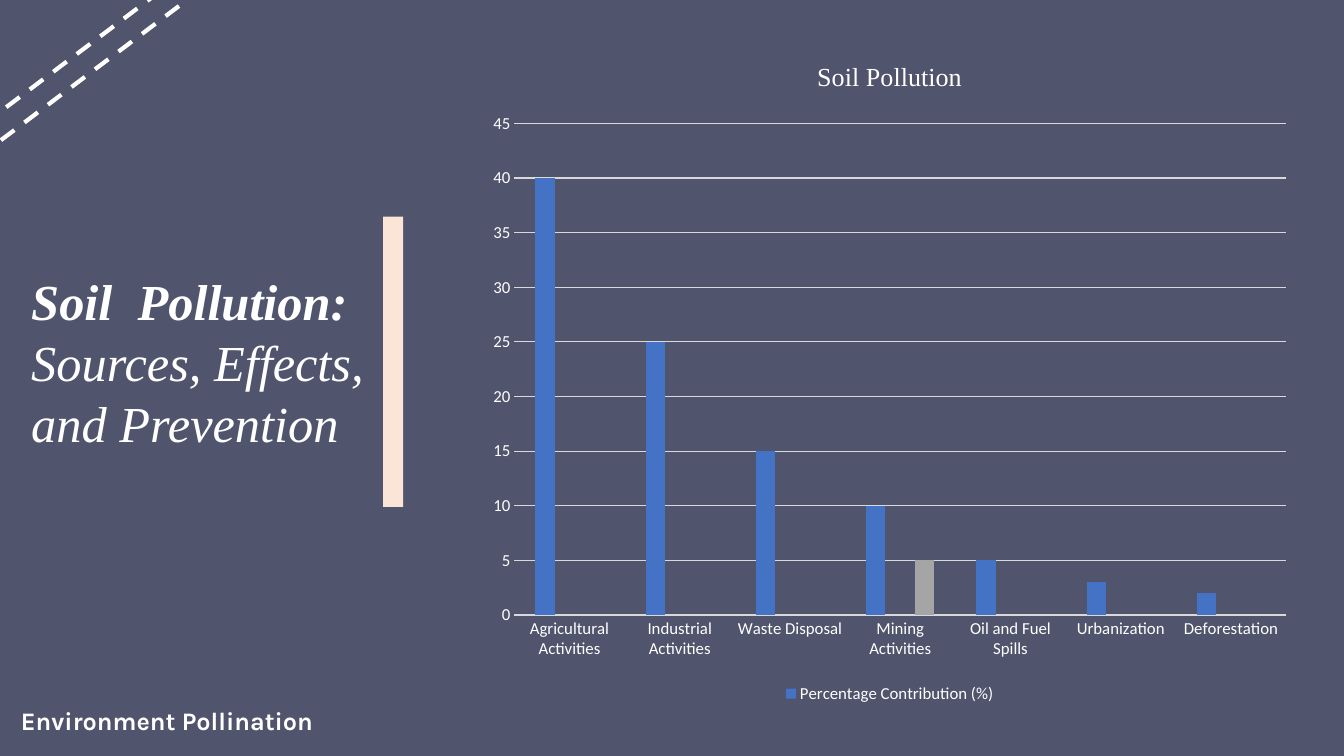
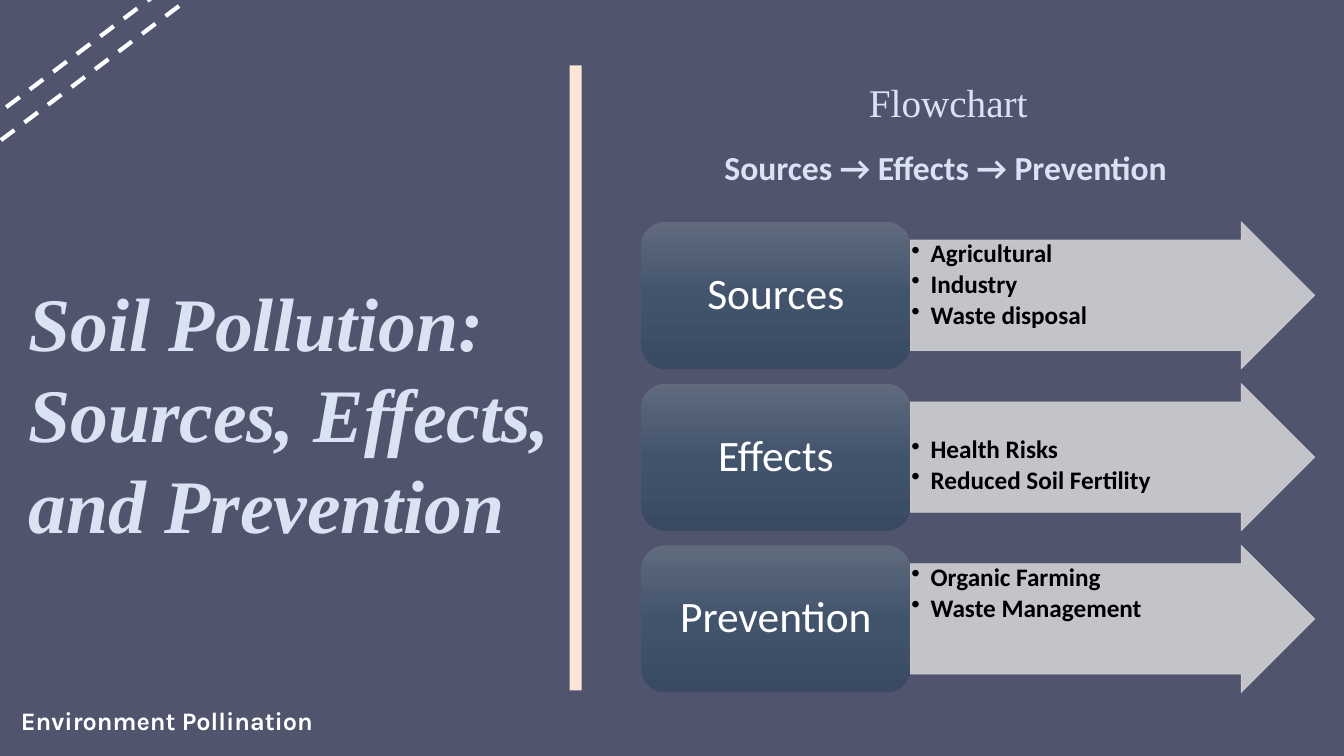
from copy import deepcopy

from lxml.etree import SubElement
from pptx import Presentation
from pptx.chart.data import CategoryChartData
from pptx.dml.color import RGBColor
from pptx.enum.chart import XL_CHART_TYPE, XL_LEGEND_POSITION, XL_TICK_MARK
from pptx.enum.dml import MSO_LINE
from pptx.enum.shapes import MSO_SHAPE
from pptx.enum.text import MSO_ANCHOR, MSO_AUTO_SIZE, PP_ALIGN
from pptx.oxml.ns import qn
from pptx.util import Inches, Pt

SLATE = RGBColor(0x50, 0x54, 0x6C)
WHITE = RGBColor(0xFF, 0xFF, 0xFF)
BLACK = RGBColor(0x00, 0x00, 0x00)
PEACH = RGBColor(0xFB, 0xE5, 0xD6)
PALE_BLUE = RGBColor(0xDA, 0xE3, 0xF3)
GRID_GREY = RGBColor(0xD9, 0xD9, 0xD9)
ARROW_GREY = RGBColor(0xCF, 0xD1, 0xD4)
SERIES_COLORS = [
    RGBColor(0x44, 0x72, 0xC4),
    RGBColor(0xED, 0x7D, 0x31),
    RGBColor(0xA5, 0xA5, 0xA5),
]
LABEL_STOPS = [
    (0, RGBColor(0x60, 0x6B, 0x7D)),
    (0.5, RGBColor(0x42, 0x54, 0x6C)),
    (1, RGBColor(0x39, 0x4A, 0x62)),
]
SERIF = "Times New Roman"
SANS = "Calibri"


def add_span(para, text, size, name, color, bold=False, italic=False):
    span = para.add_run()
    span.text = text
    span.font.size = Pt(size)
    span.font.name = name
    span.font.color.rgb = color
    span.font.bold = bold
    span.font.italic = italic


def add_plain_shape(page, kind, left, top, width, height):
    shape = page.shapes.add_shape(
        kind, Inches(left), Inches(top), Inches(width), Inches(height)
    )
    shape.shadow.inherit = False
    shape.line.fill.background()
    return shape


deck = Presentation()
deck.slide_width = Inches(13.33)
deck.slide_height = Inches(7.5)
background = deck.slide_master.background.fill
background.solid()
background.fore_color.rgb = SLATE

layout = deck.slide_layouts[5]
chart_page = deck.slides.add_slide(layout)
flow_page = deck.slides.add_slide(layout)

footer = chart_page.shapes.add_textbox(
    Inches(0.11), Inches(6.95), Inches(3.56), Inches(0.4)
)
footer.text_frame.word_wrap = True
add_span(
    footer.text_frame.paragraphs[0], "Environment Pollination", 18, "Karla", WHITE, True
)
band = add_plain_shape(chart_page, MSO_SHAPE.RECTANGLE, 0.76, -1.39, 0.23, 3.97)
band.rotation = 53
band.fill.background()
band.line.color.rgb = WHITE
band.line.width = Pt(3)
band.line.dash_style = MSO_LINE.DASH
for shared in (footer, band):
    layout.shapes.element.append(shared.element)

titles = [
    (
        chart_page,
        (0.21, 2.63, 4.1, 1.92),
        (3.8, 2.15, 0.2, 2.88),
        [("Soil  Pollution: ", True), ("Sources, Effects, and Prevention", False)],
        36,
        43.5,
        WHITE,
    ),
    (
        flow_page,
        (0.18, 2.68, 5.82, 4.67),
        (5.65, 0.65, 0.12, 6.2),
        [("Soil Pollution: Sources, Effects, and Prevention", True)],
        54,
        65,
        PALE_BLUE,
    ),
]
for page, place, bar_place, parts, size, spacing, color in titles:
    title = page.shapes.title
    title.left, title.top, title.width, title.height = map(Inches, place)
    frame = title.text_frame
    frame.word_wrap = True
    frame.auto_size = MSO_AUTO_SIZE.NONE
    frame.vertical_anchor = MSO_ANCHOR.TOP
    para = frame.paragraphs[0]
    para.alignment = PP_ALIGN.LEFT
    para.line_spacing = Pt(spacing)
    for text, bold in parts:
        add_span(para, text, size, SERIF, color, bold, True)
    bar = add_plain_shape(page, MSO_SHAPE.RECTANGLE, *bar_place)
    bar.fill.solid()
    bar.fill.fore_color.rgb = PEACH

data = CategoryChartData()
data.categories = [
    "Agricultural Activities",
    "Industrial Activities",
    "Waste Disposal",
    "Mining Activities",
    "Oil and Fuel Spills",
    "Urbanization",
    "Deforestation",
]
data.add_series("Percentage Contribution (%)", [40, 25, 15, 10, 5, 3, 2])
data.add_series("Series 2", [None] * 7)
data.add_series("Series 3", [None, None, None, 5, None, None, None])
chart = chart_page.shapes.add_chart(
    XL_CHART_TYPE.COLUMN_CLUSTERED,
    Inches(4.73),
    Inches(0.37),
    Inches(8.19),
    Inches(6.65),
    data,
).chart
chart.font.name = SANS
chart.font.size = Pt(12)
chart.font.color.rgb = WHITE
chart.has_title = True
add_span(
    chart.chart_title.text_frame.paragraphs[0], "Soil Pollution", 18.6, SERIF, WHITE
)
chart.chart_title.include_in_layout = False

plot = chart.plots[0]
plot.vary_by_categories = False
plot.gap_width = 219
plot.overlap = -27
for series, color in zip(plot.series, SERIES_COLORS):
    series.format.fill.solid()
    series.format.fill.fore_color.rgb = color

for axis in (chart.category_axis, chart.value_axis):
    axis.major_tick_mark = XL_TICK_MARK.NONE
    axis.minor_tick_mark = XL_TICK_MARK.NONE
chart.value_axis.minimum_scale = 0
chart.value_axis.maximum_scale = 45
chart.value_axis.major_unit = 5
chart.value_axis.format.line.fill.background()
chart.value_axis.has_major_gridlines = True
for line in (
    chart.category_axis.format.line,
    chart.value_axis.major_gridlines.format.line,
):
    line.color.rgb = GRID_GREY
    line.width = Pt(0.75)

chart.has_legend = True
chart.legend.position = XL_LEGEND_POSITION.BOTTOM
chart.legend.include_in_layout = False
legend_position = chart.element.find(".//" + qn("c:legendPos"))
for hidden in (2, 1):
    entry = legend_position.makeelement(qn("c:legendEntry"), {})
    SubElement(entry, qn("c:idx"), val=str(hidden))
    SubElement(entry, qn("c:delete"), val="1")
    legend_position.addnext(entry)

headings = [
    ((6.36, 0.73, 6.09, 0.65), "Flowchart", 28, SERIF, False),
    ((5.48, 1.41, 7.8, 0.57), "Sources → Effects → Prevention", 24, SANS, True),
]
for place, text, size, name, bold in headings:
    box = flow_page.shapes.add_textbox(*map(Inches, place))
    box.text_frame.word_wrap = True
    para = box.text_frame.paragraphs[0]
    para.alignment = PP_ALIGN.CENTER
    add_span(para, text, size, name, PALE_BLUE, bold)

stages = [
    ("Sources", ["Agricultural", "Industry", "Waste disposal"], 0.01),
    ("Effects", ["Health Risks", "Reduced Soil Fertility"], 0.35),
    ("Prevention", ["Organic Farming", "Waste Management"], 0.01),
]
for index, (stage, points, top_margin) in enumerate(stages):
    top = 2.2 + index * 1.605

    arrow = add_plain_shape(flow_page, MSO_SHAPE.RIGHT_ARROW, 9.03, top, 4.01, 1.46)
    arrow.adjustments[0] = 0.75
    arrow.adjustments[1] = 0.5
    arrow.fill.solid()
    arrow.fill.fore_color.rgb = ARROW_GREY
    arrow.line.color.rgb = ARROW_GREY
    arrow.line.width = Pt(0.5)
    for color in arrow.element.spPr.iter(qn("a:srgbClr")):
        SubElement(color, qn("a:alpha"), val="90000")
    frame = arrow.text_frame
    frame.word_wrap = True
    frame.vertical_anchor = MSO_ANCHOR.TOP
    frame.margin_left = frame.margin_right = frame.margin_bottom = Inches(0.01)
    frame.margin_top = Inches(top_margin)
    for number, point in enumerate(points):
        para = frame.add_paragraph() if number else frame.paragraphs[0]
        properties = para._p.get_or_add_pPr()
        properties.set("marL", str(Inches(0.19)))
        properties.set("indent", str(-Inches(0.19)))
        SubElement(properties, qn("a:buChar"), char="•")
        para.alignment = PP_ALIGN.LEFT
        para.line_spacing = 0.9
        para.space_after = Pt(2.5)
        add_span(para, point, 18, SANS, BLACK, True)

    label = add_plain_shape(
        flow_page, MSO_SHAPE.ROUNDED_RECTANGLE, 6.36, top, 2.67, 1.46
    )
    label.fill.gradient()
    label.fill.gradient_angle = 270
    first_stop = label.element.spPr.find(".//" + qn("a:gs"))
    first_stop.addnext(deepcopy(first_stop))
    for stop, (position, color) in zip(label.fill.gradient_stops, LABEL_STOPS):
        stop.position = position
        stop.color.rgb = color
    frame = label.text_frame
    frame.word_wrap = True
    frame.vertical_anchor = MSO_ANCHOR.MIDDLE
    para = frame.paragraphs[0]
    para.alignment = PP_ALIGN.CENTER
    para.line_spacing = 0.9
    add_span(para, stage, 31, SANS, WHITE)

deck.save("out.pptx")
